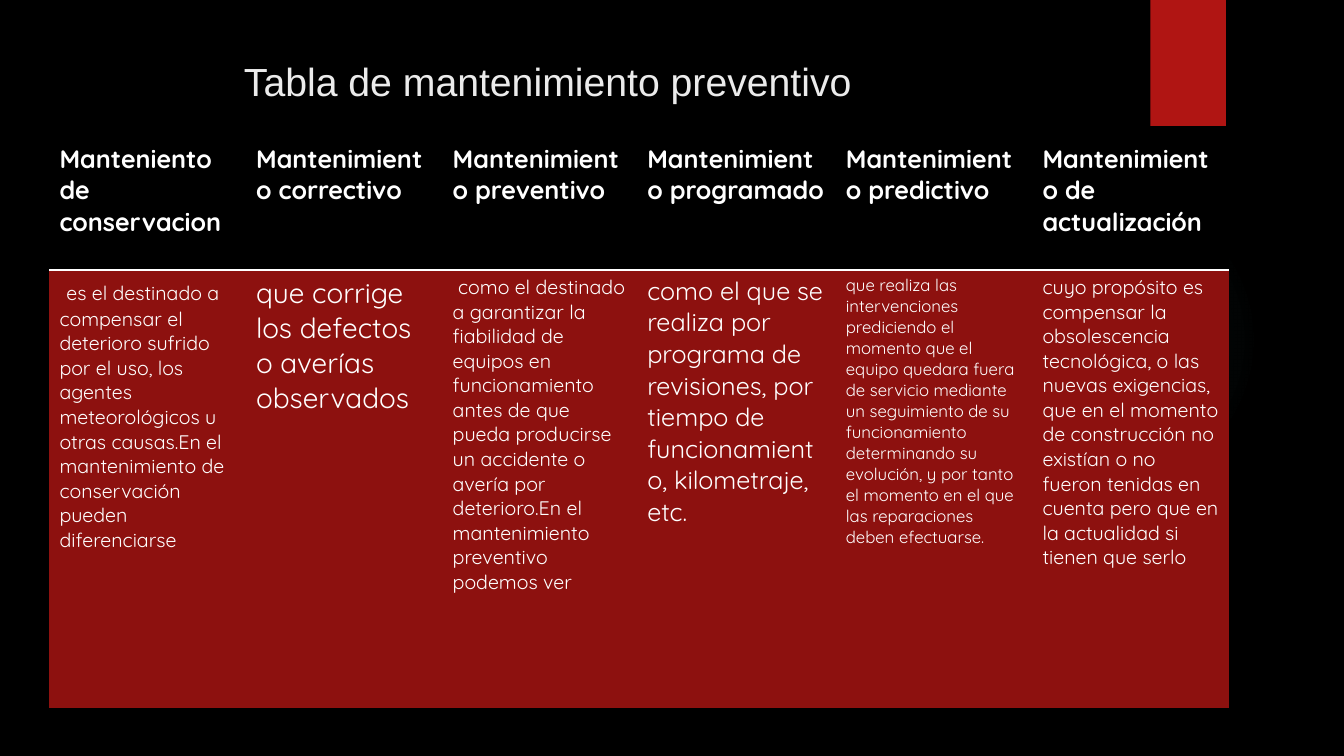
from lxml import etree
from pptx import Presentation
from pptx.dml.color import RGBColor
from pptx.enum import shapes, text
from pptx.oxml import ns, parse_xml
from pptx.util import Inches, Pt

COLORS = {
    "background": "000000", "accent": "B01513", "glow": "50B9C1",
    "title": "EBEBEB", "text": "FFFFFF", "body": "8D110F",
}
COLUMN_WIDTHS = [1.95, 1.95, 1.93, 1.97, 1.95, 1.95]
ROW_HEIGHTS = [1.31, 4.34]
# Heading, then the (text, size) runs of the description
MAINTENANCE = [
    ("Manteniento de conservacion",
     [(" ", 18),
      ("es el destinado a compensar el deterioro sufrido por el uso, los agentes "
       "meteorológicos u otras causas.En el mantenimiento de conservación pueden "
       "diferenciarse", 14)]),
    ("Mantenimiento correctivo",
     [("que corrige los defectos o averías observados", 20)]),
    ("Mantenimiento preventivo",
     [(" como el destinado a garantizar la fiabilidad de equipos en funcionamiento "
       "antes de que pueda producirse un accidente o avería por deterioro.En el "
       "mantenimiento preventivo podemos ver", 14)]),
    ("Mantenimiento programado",
     [("como el que se realiza por programa de revisiones, por tiempo de "
       "funcionamiento, kilometraje, etc.", 18)]),
    ("Mantenimiento predictivo",
     [("que realiza las intervenciones prediciendo el momento que el equipo quedara "
       "fuera de servicio mediante un seguimiento de su funcionamiento determinando "
       "su evolución, y por tanto el momento en el que las reparaciones deben "
       "efectuarse.", 12)]),
    ("Mantenimiento de actualización",
     [("cuyo propósito es compensar la obsolescencia tecnológica, o las nuevas "
       "exigencias, que en el momento de construcción no existían o no fueron "
       "tenidas en cuenta pero que en la actualidad si tienen que serlo", 14)]),
]


def rgb(name):
    return RGBColor.from_string(COLORS[name])


def fill_solid(obj, color):
    obj.fill.solid()
    obj.fill.fore_color.rgb = rgb(color)


def add_run(p, content, color, **font):
    r = p.add_run()
    r.text = content
    r.font.color.rgb = rgb(color)
    for name, value in font.items():
        setattr(r.font, name, value)


def add_plain_shape(s, kind, color, *box):
    sp = s.shapes.add_shape(kind, *map(Inches, box))
    fill_solid(sp, color)
    sp.line.fill.background()
    sp.shadow.inherit = False
    return sp


def add_glow(s):
    """Add a circle that fades from a faint tint to nothing at its rim."""
    sp = add_plain_shape(s, shapes.MSO_SHAPE.OVAL, "glow", 9.41, 1.83, 3.08, 3.08)
    stops = "".join(
        f'<a:gs pos="{pos * 1000}"><a:srgbClr val="{COLORS["glow"]}">'
        f'<a:alpha val="{alpha * 1000}"/></a:srgbClr></a:gs>'
        for pos, alpha in [(0, 7), (36, 6), (69, 0)])
    gradient = parse_xml(
        f'<a:gradFill {ns.nsdecls("a")}><a:gsLst>{stops}</a:gsLst><a:path path="circle">'
        '<a:fillToRect l="50000" t="50000" r="50000" b="50000"/></a:path></a:gradFill>')
    spPr = sp.fill._xPr
    spPr.replace(spPr.find(ns.qn("a:solidFill")), gradient)


def set_title(s, content):
    title = s.shapes.title
    box = {"left": 0.71, "top": 0.5, "width": 10.29, "height": 0.6}
    for name, value in box.items():
        setattr(title, name, Inches(value))
    tf = title.text_frame
    tf.margin_left = Inches(1.71)
    tf.vertical_anchor = text.MSO_ANCHOR.MIDDLE
    p = tf.paragraphs[0]
    p.alignment = text.PP_ALIGN.LEFT
    add_run(p, content, "title", name="Arial", size=Pt(28))


def set_bottom_border(cell, color, width):
    tcPr = cell._tc.get_or_add_tcPr()
    line = etree.Element(ns.qn("a:lnB"), w=str(Pt(width)))
    fill = etree.SubElement(line, ns.qn("a:solidFill"))
    etree.SubElement(fill, ns.qn("a:srgbClr"), val=COLORS[color])
    tcPr.insert(0, line)


def fill_cell(cell, runs, color, bold):
    fill_solid(cell, color)
    p = cell.text_frame.paragraphs[0]
    for content, size in runs:
        add_run(p, content, "text", name="Quicksand", size=Pt(size), bold=bold)


def add_maintenance_table(s):
    frame = s.shapes.add_table(
        len(ROW_HEIGHTS), len(COLUMN_WIDTHS), Inches(0.49), Inches(1.37),
        Inches(sum(COLUMN_WIDTHS)), Inches(sum(ROW_HEIGHTS)))
    table = frame.table
    table.first_row = table.horz_banding = False
    # "No Style, No Grid" keeps the cells free of default borders
    style = table._tbl.tblPr.find(ns.qn("a:tableStyleId"))
    style.text = "{2D5ABB26-0587-4C30-8999-92F81FD0307C}"
    for row, height in zip(table.rows, ROW_HEIGHTS):
        row.height = Inches(height)
    for i, (heading, description) in enumerate(MAINTENANCE):
        table.columns[i].width = Inches(COLUMN_WIDTHS[i])
        fill_cell(table.cell(0, i), [(heading, 18)], "background", True)
        set_bottom_border(table.cell(0, i), "text", 2)
        fill_cell(table.cell(1, i), description, "body", False)


def main():
    prs = Presentation()
    prs.slide_width, prs.slide_height = Inches(13.33), Inches(7.5)
    s = prs.slides.add_slide(prs.slide_layouts[5])
    fill_solid(s.background, "background")
    add_glow(s)
    add_plain_shape(s, shapes.MSO_SHAPE.RECTANGLE, "accent", 11.41, 0, 0.75, 1.25)
    set_title(s, "Tabla de mantenimiento preventivo")
    add_maintenance_table(s)
    prs.save("out.pptx")


if __name__ == "__main__":
    main()
